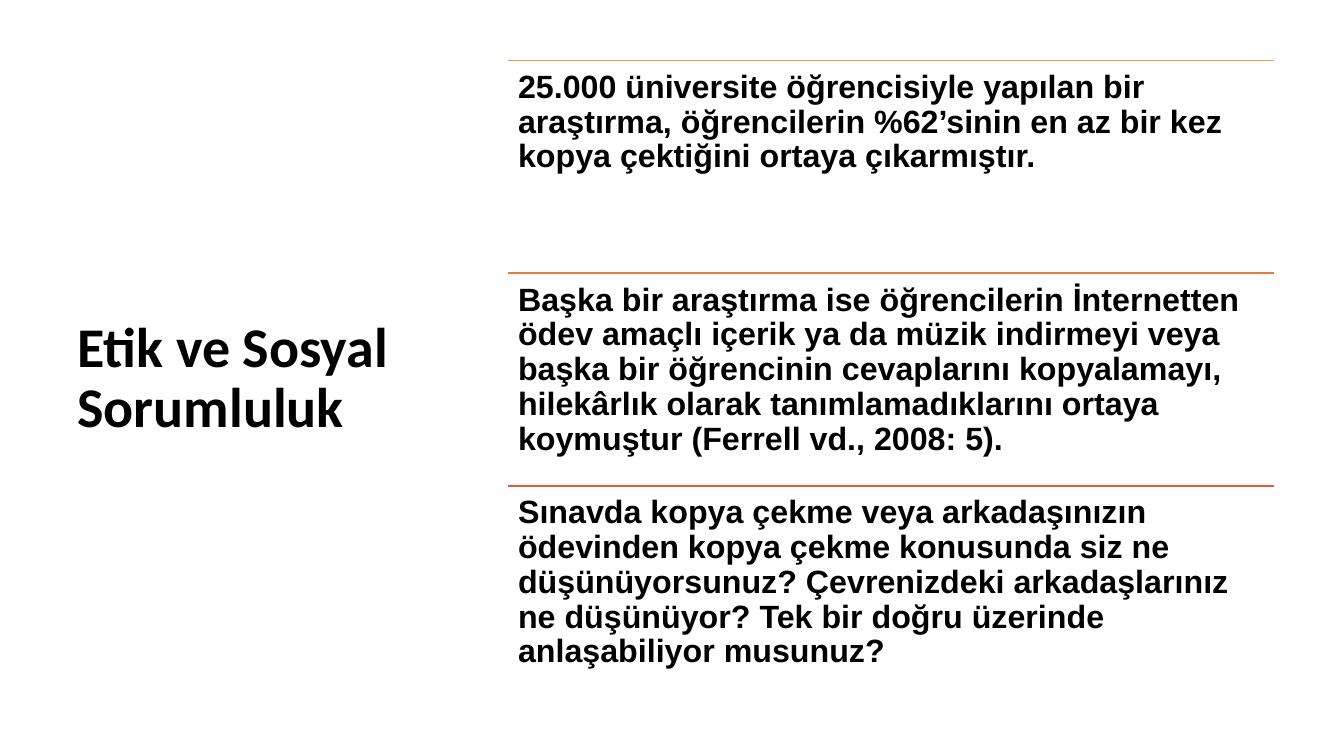
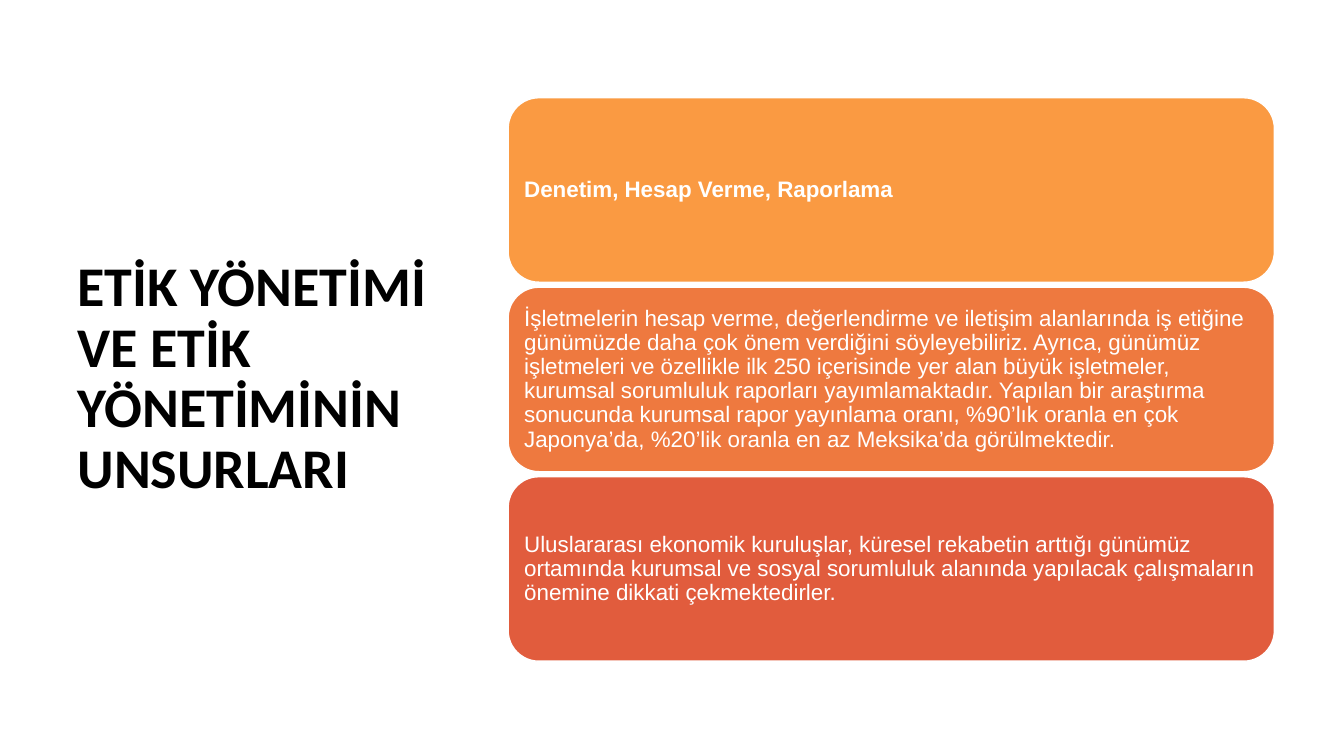
from pptx import Presentation
from pptx.dml.color import RGBColor
from pptx.enum.shapes import MSO_CONNECTOR, MSO_SHAPE
from pptx.enum.text import MSO_ANCHOR, PP_ALIGN
from pptx.oxml.ns import qn
from pptx.util import Inches, Pt
from lxml import etree

ROUND_RECT = MSO_SHAPE.ROUNDED_RECTANGLE
STRAIGHT = MSO_CONNECTOR.STRAIGHT
TOP, MIDDLE = MSO_ANCHOR.TOP, MSO_ANCHOR.MIDDLE
LEFT = PP_ALIGN.LEFT

BLACK, WHITE = "000000", "FFFFFF"
ACCENTS = ["FA9A42", "EE793F", "E15C3D"]
TITLE_FONT, BODY_FONT = "Calibri", "Arial"
MARGIN_X, CONTENT_Y, CONTENT_H = 0.67, 0.6, 6.33
TITLE_W = 3.82
LIST_X, LIST_W = 5.04, 7.6
CARD_Y, CARD_H, CARD_GAP = 0.97, 1.83, 0.05

RESEARCH = [
    "25.000 üniversite öğrencisiyle yapılan bir araştırma, öğrencilerin "
    "%62’sinin en az bir kez kopya çektiğini ortaya çıkarmıştır.",
    "Başka bir araştırma ise öğrencilerin İnternetten ödev amaçlı içerik ya da "
    "müzik indirmeyi veya başka bir öğrencinin cevaplarını kopyalamayı, "
    "hilekârlık olarak tanımlamadıklarını ortaya koymuştur "
    "(Ferrell vd., 2008: 5).",
    "Sınavda kopya çekme veya arkadaşınızın ödevinden kopya çekme konusunda siz "
    "ne düşünüyorsunuz? Çevrenizdeki arkadaşlarınız ne düşünüyor? Tek bir doğru "
    "üzerinde anlaşabiliyor musunuz?",
]
REPORTING = [
    "Denetim, Hesap Verme, Raporlama",
    "İşletmelerin hesap verme, değerlendirme ve iletişim alanlarında iş etiğine "
    "günümüzde daha çok önem verdiğini söyleyebiliriz. Ayrıca, günümüz "
    "işletmeleri ve özellikle ilk 250 içerisinde yer alan büyük işletmeler, "
    "kurumsal sorumluluk raporları yayımlamaktadır. Yapılan bir araştırma "
    "sonucunda kurumsal rapor yayınlama oranı, %90’lık oranla en çok "
    "Japonya’da, %20’lik oranla en az Meksika’da görülmektedir.",
    "Uluslararası ekonomik kuruluşlar, küresel rekabetin arttığı günümüz "
    "ortamında kurumsal ve sosyal sorumluluk alanında yapılacak çalışmaların "
    "önemine dikkati çekmektedirler.",
]


def rgb(value):
    """Return the colour for a hex string."""
    return RGBColor.from_string(value)


def set_text(sp, text, font, size, color, bold, anchor, inset):
    """Write one left-aligned paragraph into a shape."""
    tf = sp.text_frame
    tf.word_wrap = True
    tf.vertical_anchor = anchor
    tf.margin_left = tf.margin_right = Inches(inset)
    tf.margin_top = tf.margin_bottom = Inches(inset)
    p = tf.paragraphs[0]
    p.text = text
    p.alignment = LEFT
    p.line_spacing = 0.9
    p.font.name = font
    p.font.size = Pt(size)
    p.font.bold = bold
    p.font.color.rgb = rgb(color)


def add_text(s, x, y, w, h, *style):
    """Add a text box with the given text style."""
    sp = s.shapes.add_textbox(Inches(x), Inches(y), Inches(w), Inches(h))
    set_text(sp, *style)


def add_rule(s, y, color):
    """Add a thin horizontal line across the list column."""
    line = s.shapes.add_connector(STRAIGHT, Inches(LIST_X), Inches(y),
                                  Inches(LIST_X + LIST_W), Inches(y))
    line.line.color.rgb = rgb(color)
    line.line.width = Pt(1)
    etree.SubElement(line._element.spPr, qn("a:effectLst"))


def add_card(s, y, color, text, bold):
    """Add a filled rounded card with white text."""
    sp = s.shapes.add_shape(ROUND_RECT, Inches(LIST_X), Inches(y),
                            Inches(LIST_W), Inches(CARD_H))
    sp.shadow.inherit = False
    sp.fill.solid()
    sp.fill.fore_color.rgb = rgb(color)
    sp.line.color.rgb = rgb(WHITE)
    sp.line.width = Pt(1)
    set_text(sp, text, BODY_FONT, 16, WHITE, bold, MIDDLE, 0.07)


def add_slide(prs, title):
    """Add a blank slide with the title column on the left."""
    s = prs.slides.add_slide(prs.slide_layouts[6])
    add_text(s, MARGIN_X, CONTENT_Y, TITLE_W, CONTENT_H,
             title, TITLE_FONT, 40, BLACK, True, MIDDLE, 0.1)
    return s


def add_ruled_list(s, items):
    """Stack texts in equal rows, each under a coloured rule."""
    row_h = CONTENT_H / len(items)
    for i, (text, color) in enumerate(zip(items, ACCENTS)):
        y = CONTENT_Y + i * row_h
        add_rule(s, y, color)
        add_text(s, LIST_X, y, LIST_W, row_h,
                 text, BODY_FONT, 23, BLACK, True, TOP, 0.1)


def add_card_list(s, items):
    """Stack texts in coloured cards, the first one bold."""
    for i, (text, color) in enumerate(zip(items, ACCENTS)):
        add_card(s, CARD_Y + i * (CARD_H + CARD_GAP), color, text, i == 0)


def main():
    """Build and save the presentation."""
    prs = Presentation()
    prs.slide_width, prs.slide_height = Inches(13.33), Inches(7.5)
    add_ruled_list(add_slide(prs, "Etik ve Sosyal Sorumluluk"), RESEARCH)
    add_card_list(
        add_slide(prs, "ETİK YÖNETİMİ VE ETİK YÖNETİMİNİN UNSURLARI"), REPORTING)
    prs.save("out.pptx")


if __name__ == "__main__":
    main()
